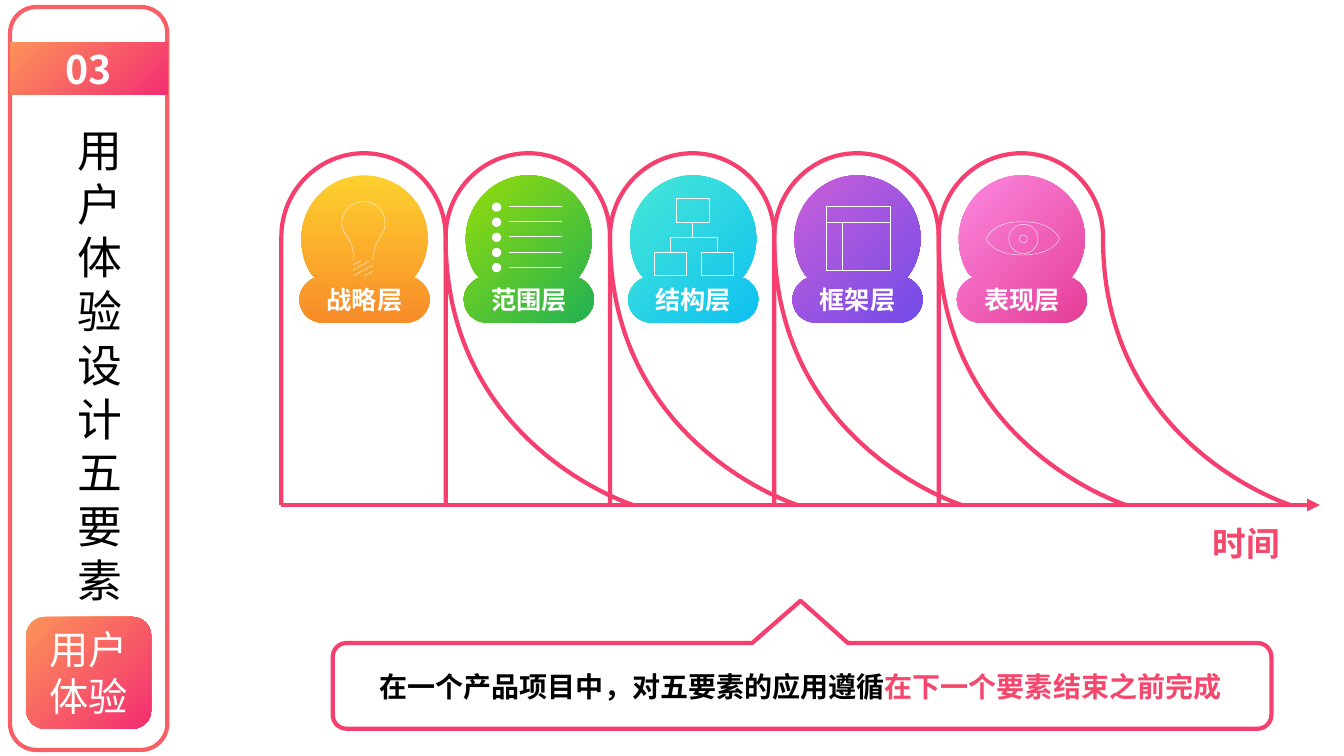
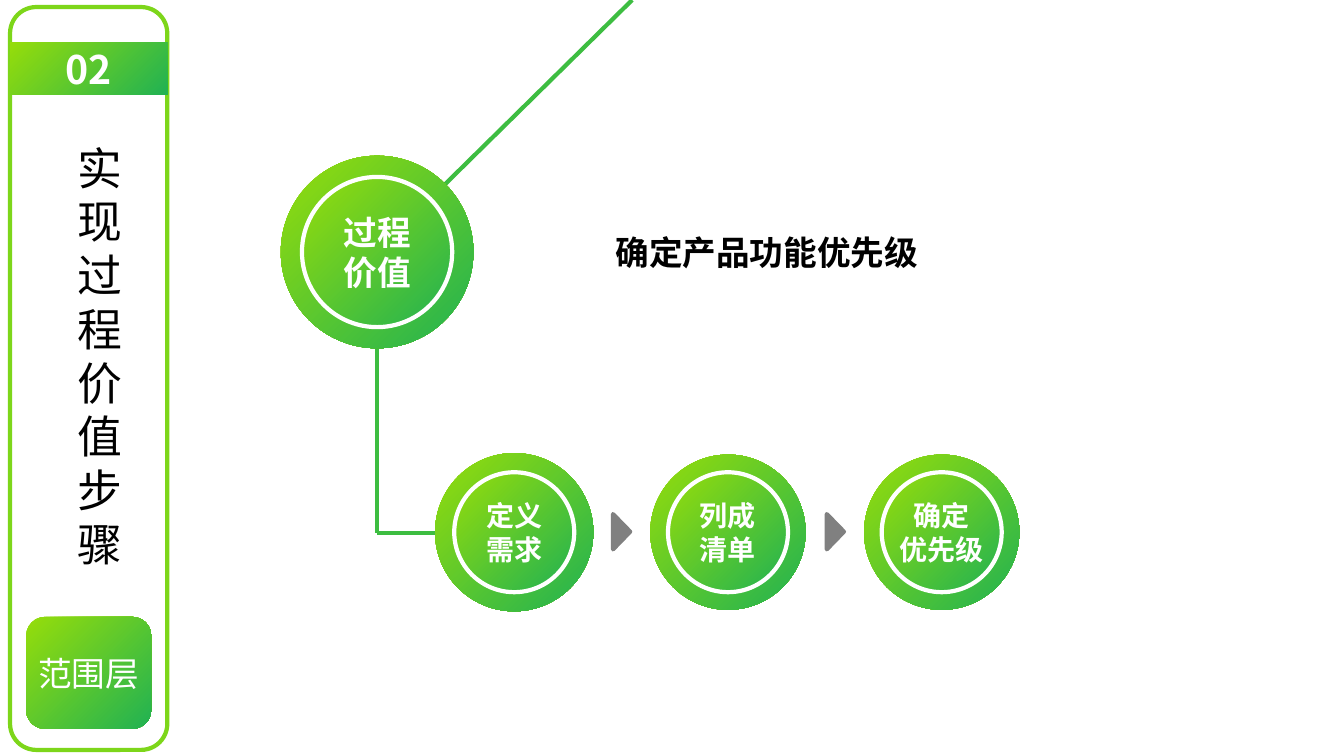
"""Build two slides on the layers of user experience design."""
from dataclasses import dataclass
from typing import Any

import lxml.etree
import pptx
import pptx.dml.color
import pptx.enum.shapes
import pptx.enum.text
import pptx.oxml.ns
import pptx.util

Inches = pptx.util.Inches
KIND = pptx.enum.shapes.MSO_SHAPE
qn = pptx.oxml.ns.qn
FONT = "Noto Sans CJK SC"
STEP = 1.63
BASE = 5.01
COLORS = {
    "white": "FFFFFF", "black": "000000", "gray": "808080",
    "pink": "F53F6F", "rose": "F5466C", "coral": "F86065",
    "lime": "7DD61A", "green": "3DBD41",
}
GRADES = {
    "sunset": ("FC9358", "F32E72"), "leaf": ("96DD0A", "21B253"),
    "amber": ("FED02E", "F88C2A"), "aqua": ("46E8D7", "0FC1F0"),
    "violet": ("CA5FD9", "724BE8"), "blush": ("FC88E1", "E53E96"),
}
ARCH = [
    (0, BASE), (0, 2.35), (0, 1.89, 0.37, 1.52, 0.82, 1.52),
    (1.27, 1.52, 1.63, 1.89, 1.63, 2.35), (1.62, 4.42, 3.49, BASE, 3.49, BASE),
]
BADGE = [
    (0.64, 1.74), (0.99, 1.74, 1.27, 2.02, 1.27, 2.37),
    (1.27, 2.49, 1.23, 2.62, 1.16, 2.72), (1.13, 2.76), (1.15, 2.76),
    (1.23, 2.8, 1.29, 2.88, 1.29, 2.97), (1.29, 3.1, 1.18, 3.2, 1.06, 3.2),
    (0.23, 3.2), (0.1, 3.2, 0, 3.1, 0, 2.97),
    (0, 2.88, 0.06, 2.8, 0.14, 2.76), (0.16, 2.76), (0.12, 2.72),
    (0.05, 2.62, 0.02, 2.49, 0.02, 2.37), (0.02, 2.02, 0.3, 1.74, 0.64, 1.74),
]
BULB = [
    (0.54, 2.59), (0.54, 2.5, 0.52, 2.42, 0.49, 2.37), (0.46, 2.33),
    (0.44, 2.3, 0.42, 2.25, 0.42, 2.21), (0.42, 2.09, 0.52, 2, 0.64, 2),
    (0.75, 2, 0.85, 2.09, 0.85, 2.21), (0.85, 2.25, 0.84, 2.3, 0.81, 2.33),
    (0.79, 2.37), (0.75, 2.42, 0.73, 2.5, 0.73, 2.59),
]
EYE = [
    (0.29, 2.37), (0.35, 2.26, 0.45, 2.2, 0.65, 2.2),
    (0.86, 2.2, 0.97, 2.27, 1.02, 2.37), (0.99, 2.45, 0.86, 2.53, 0.65, 2.53),
    (0.45, 2.53, 0.33, 2.46, 0.29, 2.37),
]
BUBBLE = [
    (7.94, 5.96), (8.41, 6.38), (12.47, 6.38),
    (12.55, 6.38, 12.61, 6.44, 12.61, 6.52), (12.61, 7.09),
    (12.61, 7.17, 12.55, 7.23, 12.47, 7.23), (3.44, 7.23),
    (3.36, 7.23, 3.3, 7.17, 3.3, 7.09), (3.3, 6.52),
    (3.3, 6.44, 3.36, 6.38, 3.44, 6.38), (7.46, 6.38),
]


@dataclass
class Layer:
    name: str
    grade: str
    angle: int = 45


@dataclass
class Panel:
    number: str
    title: str
    top: float
    height: float
    tag: str
    size: int
    grade: str
    edge: str


@dataclass
class Step:
    text: str
    x: float
    y: float
    outer: float
    inner: float
    size: int = 20


LAYERS = [
    Layer("战略层", "amber", 90), Layer("范围层", "leaf"), Layer("结构层", "aqua"),
    Layer("框架层", "violet"), Layer("表现层", "blush"),
]
STEPS = [
    Step("过程价值", 3.74, 2.5, 1.91, 1.49, 24),
    Step("定义需求", 5.1, 5.28, 1.57, 1.19),
    Step("列成清单", 7.22, 5.28, 1.54, 1.19),
    Step("确定\n优先级", 9.34, 5.28, 1.54, 1.19),
]


def tint(key: str) -> pptx.dml.color.RGBColor:
    return pptx.dml.color.RGBColor.from_string(COLORS[key])


def paint(shape: Any, fill: str = "", edge: str = "", width: float = 3,
          angle: int = 45) -> Any:
    shape.shadow.inherit = False
    if fill in GRADES:
        shape.fill.gradient()
        shape.fill.gradient_angle = 360 - angle
        for stop, shade in zip(shape.fill.gradient_stops, GRADES[fill]):
            stop.color.rgb = pptx.dml.color.RGBColor.from_string(shade)
    elif fill:
        shape.fill.solid()
        shape.fill.fore_color.rgb = tint(fill)
    else:
        shape.fill.background()
    if edge:
        shape.line.color.rgb = tint(edge)
        shape.line.width = pptx.util.Pt(width)
    else:
        shape.line.fill.background()
    return shape


def form(slide: Any, kind: Any, x: float, y: float, w: float, h: float,
         **style: Any) -> Any:
    shape = slide.shapes.add_shape(kind, Inches(x), Inches(y), Inches(w), Inches(h))
    return paint(shape, **style)


def trace(slide: Any, parts: list, x: float = 0, close: bool = True,
          **style: Any) -> Any:
    pens = [(Inches(part[k] + x), Inches(part[k + 1]))
            for part in parts for k in range(0, len(part), 2)]
    maker = slide.shapes.build_freeform(*pens[0], scale=1.0)
    maker.add_line_segments(pens[1:], close=close)
    shape = maker.convert_to_shape()
    route = shape._element.find(".//" + qn("a:path"))
    nodes = iter(route.findall(qn("a:lnTo")))
    for part in parts[1:]:
        node = next(nodes)
        if len(part) == 6:
            curve = lxml.etree.Element(qn("a:cubicBezTo"))
            route.replace(node, curve)
            curve.append(node[0])
            for _ in range(2):
                extra = next(nodes)
                curve.append(extra[0])
                route.remove(extra)
    return paint(shape, **style)


def rule(slide: Any, x: float, y: float, x2: float, y2: float, color: str = "white",
         width: float = 0.25, arrow: bool = False) -> Any:
    line = slide.shapes.add_connector(
        pptx.enum.shapes.MSO_CONNECTOR.STRAIGHT,
        Inches(x), Inches(y), Inches(x2), Inches(y2))
    line.line.color.rgb = tint(color)
    line.line.width = pptx.util.Pt(width)
    props = line._element.spPr
    if arrow:
        lxml.etree.SubElement(props.find(qn("a:ln")), qn("a:tailEnd"), type="triangle")
    lxml.etree.SubElement(props, qn("a:effectLst"))
    return line


def write(shape: Any, text: str, *, size: int, color: str = "white",
          bold: bool = True, inset: float = 0.1, tail: str = "") -> None:
    frame = shape.text_frame
    frame.auto_size = pptx.enum.text.MSO_AUTO_SIZE.NONE
    frame.word_wrap = "\n" not in text
    frame.vertical_anchor = pptx.enum.text.MSO_ANCHOR.MIDDLE
    frame.margin_left = frame.margin_right = Inches(inset)
    frame.margin_top = frame.margin_bottom = 0
    frame.text = text
    if tail:
        frame.paragraphs[-1].add_run().text = tail
    for para in frame.paragraphs:
        para.alignment = pptx.enum.text.PP_ALIGN.CENTER
        para.line_spacing = pptx.util.Pt(size * 1.2)
        for run in para.runs:
            run.font.size = pptx.util.Pt(size)
            run.font.bold = bold
            run.font.color.rgb = tint("rose" if run.text == tail else color)
            run.font.name = FONT
            lxml.etree.SubElement(run._r.get_or_add_rPr(), qn("a:ea"), typeface=FONT)


def label(slide: Any, text: str, x: float, y: float, w: float, h: float,
          **style: Any) -> None:
    box = slide.shapes.add_textbox(Inches(x), Inches(y), Inches(w), Inches(h))
    write(box, text, **style)


def start(deck: Any, panel: Panel) -> Any:
    slide = deck.slides.add_slide(deck.slide_layouts[5])
    form(slide, KIND.ROUNDED_RECTANGLE, 0.1, 0.07, 1.56, 7.37, edge=panel.edge)
    band = form(slide, KIND.RECTANGLE, 0.1, 0.42, 1.56, 0.52, fill=panel.grade)
    write(band, panel.number, size=28)
    tag = form(slide, KIND.ROUNDED_RECTANGLE, 0.26, 6.12, 1.24, 1.11, fill=panel.grade)
    write(tag, panel.tag, size=panel.size, bold=False, inset=0.03)
    title = slide.shapes.title
    title.left, title.top = Inches(0.74), Inches(panel.top)
    title.width, title.height = Inches(0.5), Inches(panel.height)
    write(title, panel.title, size=32, color="black", bold=False, inset=0)
    return slide


def bulb(slide: Any, x: float) -> None:
    trace(slide, BULB, x, close=False, edge="white", width=0.25)
    for x1, y1, x2, y2 in [(0.53, 2.63, 0.61, 2.59), (0.53, 2.68, 0.69, 2.59),
                           (0.53, 2.74, 0.73, 2.63), (0.64, 2.74, 0.73, 2.69)]:
        rule(slide, x + x1, y1, x + x2, y2)


def bullets(slide: Any, x: float) -> None:
    for row in range(5):
        y = 2.05 + 0.15 * row
        rule(slide, x + 0.45, y, x + 0.97, y, width=0.5)
        form(slide, KIND.OVAL, x + 0.3, y - 0.02, 0.05, 0.05, fill="white", edge="white")


def tree(slide: Any, x: float) -> None:
    root, left, right = [
        form(slide, KIND.RECTANGLE, x + dx, y, 0.32, 0.23, edge="white", width=0.25)
        for dx, y in [(0.48, 1.97), (0.26, 2.5), (0.72, 2.5)]]
    rule(slide, x + 0.64, 2.2, x + 0.64, 2.35).begin_connect(root, 2)
    rule(slide, x + 0.42, 2.35, x + 0.88, 2.35)
    for leaf, dx in [(left, 0.42), (right, 0.88)]:
        rule(slide, x + dx, 2.35, x + dx, 2.5).end_connect(leaf, 0)


def layout(slide: Any, x: float) -> None:
    form(slide, KIND.RECTANGLE, x + 0.33, 2.05, 0.64, 0.63, edge="white", width=0.25)
    rule(slide, x + 0.33, 2.2, x + 0.97, 2.2)
    rule(slide, x + 0.49, 2.2, x + 0.49, 2.68)


def eye(slide: Any, x: float) -> None:
    trace(slide, EYE, x, edge="white", width=0.25)
    for size in (0.29, 0.08):
        form(slide, KIND.OVAL, x + 0.66 - size / 2, 2.37 - size / 2, size, size,
             edge="white", width=0.25)


def layers(deck: Any) -> None:
    slide = start(deck, Panel("03", "用户体验设计五要素", 1.14, 4.95,
                              "用户体验", 28, "sunset", "coral"))
    for i in range(len(LAYERS)):
        trace(slide, ARCH, 2.79 + STEP * i, close=False, edge="pink")
    rule(slide, 2.79, BASE, 13.09, BASE, "pink", 3, arrow=True)
    for i, (layer, icon) in enumerate(zip(LAYERS, (bulb, bullets, tree, layout, eye))):
        x = 2.97 + STEP * i
        trace(slide, BADGE, x, fill=layer.grade, angle=layer.angle)
        icon(slide, x)
        label(slide, layer.name, x, 2.74, 1.29, 0.46, size=18)
    label(slide, "时间", 11.9, 5.14, 0.92, 0.5, size=24, color="rose")
    trace(slide, BUBBLE, fill="white", edge="pink")
    label(slide, "在一个产品项目中，对五要素的应用遵循", 3.52, 6.59, 8.84, 0.44,
          size=20, color="black", tail="在下一个要素结束之前完成")


def process(deck: Any) -> None:
    slide = start(deck, Panel("02", "实现过程价值步骤", 1.32, 4.41,
                              "范围层", 24, "leaf", "lime"))
    for ends in [(3.74, 3.25, 3.74, 5.29), (3.74, 5.29, 4.51, 5.29),
                 (4.27, 1.97, 6.27, 0)]:
        rule(slide, *ends, "green", 3)
    for step in STEPS:
        for size, edge in [(step.outer, ""), (step.inner, "white")]:
            disc = form(slide, KIND.OVAL, step.x - size / 2, step.y - size / 2,
                        size, size, fill="leaf", edge=edge)
        write(disc, step.text, size=step.size)
    for x in (5.99, 8.11):
        mark = form(slide, KIND.ISOSCELES_TRIANGLE, x, 5.19, 0.35, 0.17,
                    fill="gray", edge="gray")
        mark.rotation = 90
    label(slide, "确定产品功能优先级", 5.19, 2.22, 4.83, 0.56, size=24, color="black")


def main() -> None:
    deck = pptx.Presentation()
    deck.slide_width, deck.slide_height = Inches(13.33), Inches(7.5)
    layers(deck)
    process(deck)
    deck.save("out.pptx")


if __name__ == "__main__":
    main()
